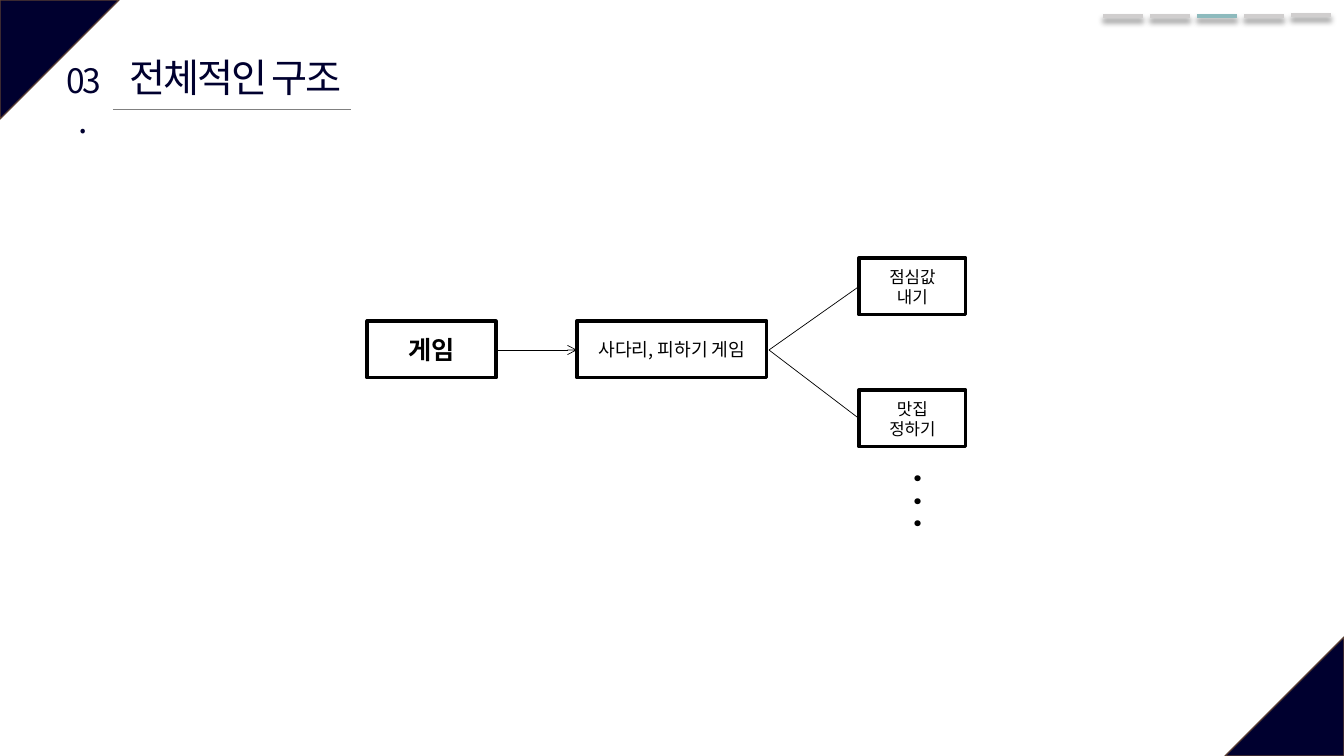
import dataclasses

import pptx
import pptx.dml.color
import pptx.enum.shapes
import pptx.enum.text
import pptx.oxml
import pptx.oxml.ns
import pptx.util

SCALE = 914400 / 100.8
WIDTH, HEIGHT = 1344, 756
PRESET = pptx.enum.shapes.MSO_SHAPE
ALIGN = pptx.enum.text.PP_ALIGN
ANCHOR = pptx.enum.text.MSO_ANCHOR


@dataclasses.dataclass(frozen=True)
class Theme:
    """Colours, type sizes and line widths of the deck."""
    font: str = "Noto Sans CJK KR"
    navy: str = "00002F"
    brown: str = "5B3F33"
    grey: str = "808080"
    pale: str = "D0CECE"
    teal: str = "8DBABD"
    black: str = "000000"
    white: str = "FFFFFF"
    title: float = 28
    number: float = 24
    root: float = 18
    game: float = 13
    choice: float = 12
    dots: float = 32
    hairline: float = 0.5
    edge: float = 1
    frame: float = 2.25
    marker: float = 3.5


THEME = Theme()


def emu(pixels):
    """Turn pixels into EMU."""
    return pptx.util.Emu(round(pixels * SCALE))


def place(box, left, top, width, height):
    """Return EMU bounds of a part given relative to its region's box."""
    return [emu(value) for value in (box[0] + left, box[1] + top, width, height)]


def colour(code):
    """Return the RGB colour for a hex code."""
    return pptx.dml.color.RGBColor.from_string(code)


def add_xml(parent, tag, body="", **attributes):
    """Append a drawing element with attributes and inner XML."""
    listed = "".join(f' {key}="{value}"' for key, value in attributes.items())
    namespace = pptx.oxml.ns.nsdecls("a")
    parent.append(pptx.oxml.parse_xml(
        f"<a:{tag} {namespace}{listed}>{body}</a:{tag}>"))


def write(shape, text, size, ink=THEME.black, bold=False, align=ALIGN.CENTER,
          anchor=ANCHOR.TOP, wrap=True, spacing=0):
    """Write text, one paragraph per line, in the given format."""
    frame = shape.text_frame
    frame.text = text
    frame.word_wrap = wrap
    frame.auto_size = pptx.enum.text.MSO_AUTO_SIZE.NONE
    frame.vertical_anchor = anchor
    for para in frame.paragraphs:
        para.alignment = align
        for span in para.runs:
            span.font.name = THEME.font
            span.font.size = pptx.util.Pt(size)
            span.font.bold = bold
            span.font.color.rgb = colour(ink)
            properties = span.font._element
            if spacing:
                properties.set("spc", str(round(spacing * 100)))
            add_xml(properties, "ea", typeface=THEME.font)


def add_block(page, preset, bounds, fill, ink, weight):
    """Add a filled, outlined preset shape without a shadow."""
    shape = page.shapes.add_shape(preset, *bounds)
    shape.shadow.inherit = False
    shape.fill.solid()
    shape.fill.fore_color.rgb = colour(fill)
    shape.line.color.rgb = colour(ink)
    shape.line.width = pptx.util.Pt(weight)
    return shape


def add_line(page, box, start, end, ink=THEME.black, weight=THEME.hairline,
             arrow=False, shadow=""):
    """Add a straight line between two points relative to the box."""
    ends = [emu(box[axis] + point[axis]) for point in (start, end) for axis in (0, 1)]
    line = page.shapes.add_connector(
        pptx.enum.shapes.MSO_CONNECTOR.STRAIGHT, *ends)
    line.line.color.rgb = colour(ink)
    line.line.width = pptx.util.Pt(weight)
    if arrow:
        add_xml(line.line._get_or_add_ln(), "tailEnd", type="arrow")
    add_xml(line._element.spPr, "effectLst", shadow)


def build_corners(page, box):
    """Fill the top-left and bottom-right corners of the box."""
    side = 119
    far = (box[2] - side, box[3] - side)
    for (left, top), turn in (((0, 0), 90), (far, 270)):
        corner = add_block(page, PRESET.ISOSCELES_TRIANGLE,
                           place(box, left, top, side, side),
                           THEME.navy, THEME.brown, THEME.edge)
        corner.adjustments[0] = 0
        corner.rotation = turn


def build_header(page, box):
    """Place the section number, title and rule."""
    add_line(page, box, (59, 61), (297, 61), ink=THEME.grey)
    title = page.shapes.title
    title.left, title.top, title.width, title.height = place(box, 54, 0, 255, 56)
    write(title, "전체적인 구조", THEME.title, ink=THEME.navy, spacing=-1.5)
    number = page.shapes.add_textbox(*place(box, 0, 7, 58, 49))
    write(number, "03.", THEME.number, ink=THEME.navy, spacing=-1.5)


def build_progress(page, box, count=5, current=2):
    """Draw the row of section markers, with the current one in teal."""
    length, pitch = 40, 47
    shadow = ('<a:outerShdw blurRad="50800" dist="38100" dir="5400000" '
              'algn="t" rotWithShape="0"><a:srgbClr val="000000">'
              '<a:alpha val="40000"/></a:srgbClr></a:outerShdw>')
    for index in range(count):
        left = index * pitch
        height = 0 if index == count - 1 else 1
        add_line(page, box, (left, height), (left + length, height),
                 ink=THEME.teal if index == current else THEME.pale,
                 weight=THEME.marker, shadow=shadow)


def build_diagram(page, box):
    """Draw the game, its kinds and the choices they settle."""
    height, middle, fork = 57, 92, 402
    nodes = (
        ("게임", 0, 63, 129, THEME.root, True),
        ("사다리, 피하기 게임", 210, 63, 190, THEME.game, False),
        ("점심값\n내기", 492, 0, 107, THEME.choice, False),
        ("맛집\n정하기", 492, 132, 107, THEME.choice, False),
    )
    for text, left, top, width, size, bold in nodes:
        node = add_block(page, PRESET.RECTANGLE,
                         place(box, left, top, width, height),
                         THEME.white, THEME.black, THEME.frame)
        write(node, text, size, bold=bold, anchor=ANCHOR.MIDDLE)
    add_line(page, box, (129, middle), (210, middle), arrow=True)
    for text, left, top, *rest in nodes[2:]:
        add_line(page, box, (fork, middle), (left, top + height / 2))
    dots = page.shapes.add_textbox(*place(box, 522, 205, 76, 71))
    write(dots, ". . .", THEME.dots, align=ALIGN.LEFT, wrap=False)
    dots.text_frame._txBody.bodyPr.set("vert", "eaVert")


def main():
    """Build the deck and save it."""
    deck = pptx.Presentation()
    deck.slide_width, deck.slide_height = emu(WIDTH), emu(HEIGHT)
    page = deck.slides.add_slide(deck.slide_layouts.get_by_name("Title Only"))
    build_corners(page, (0, 0, WIDTH, HEIGHT))
    build_header(page, (54, 48, 309, 61))
    build_progress(page, (1103, 15, 228, 1))
    build_diagram(page, (367, 258, 599, 276))
    deck.save("out.pptx")


main()
